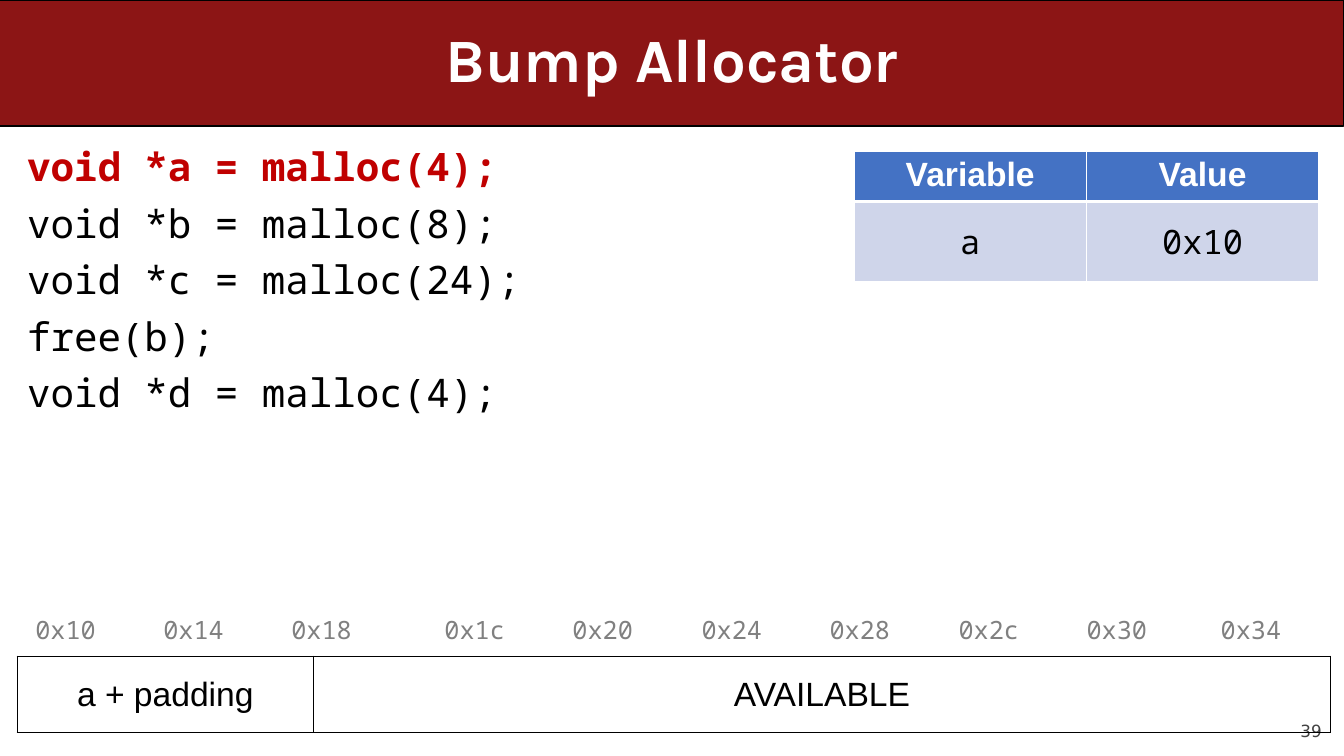
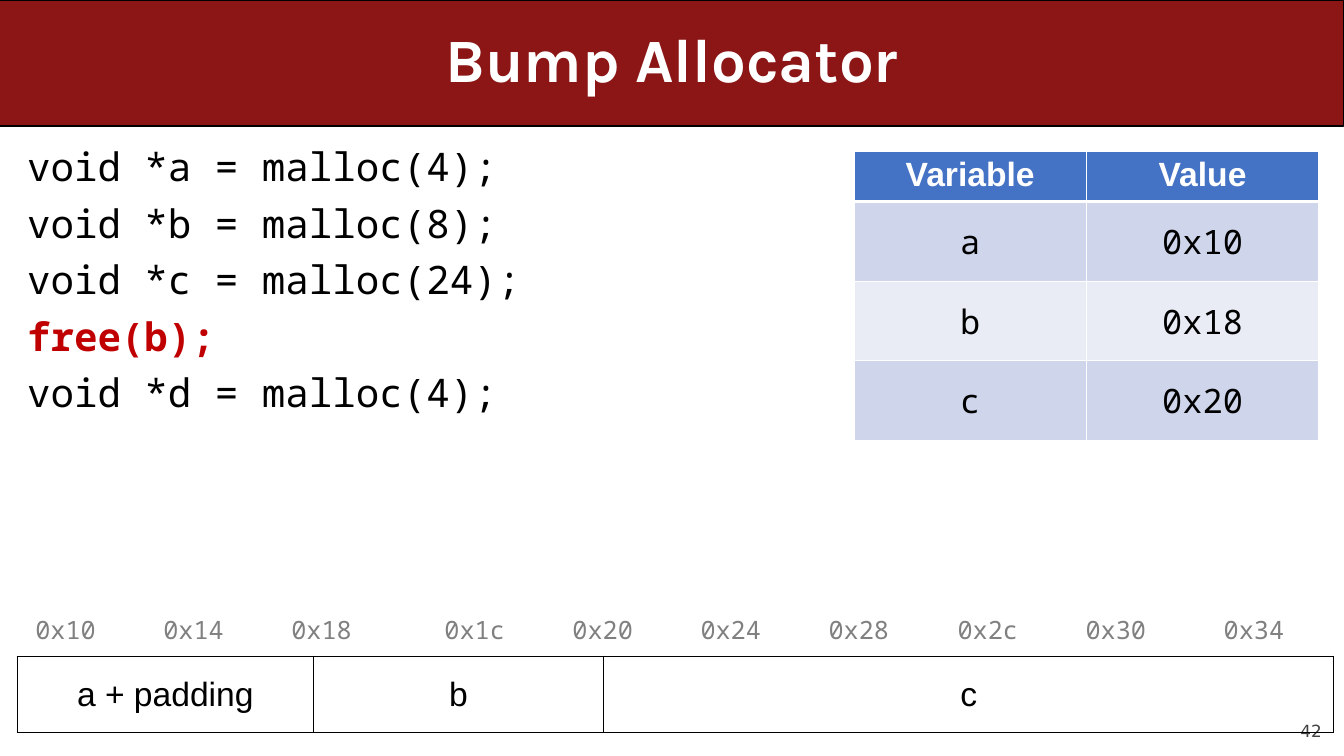
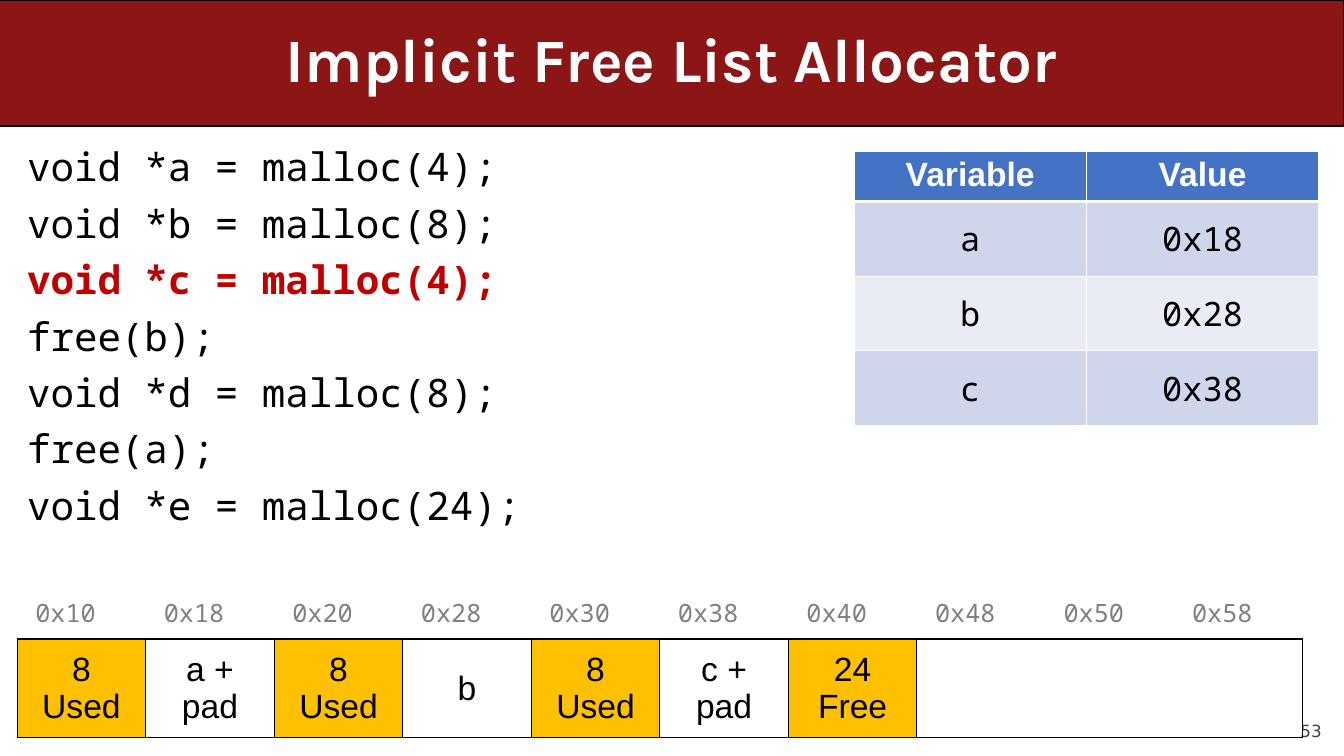
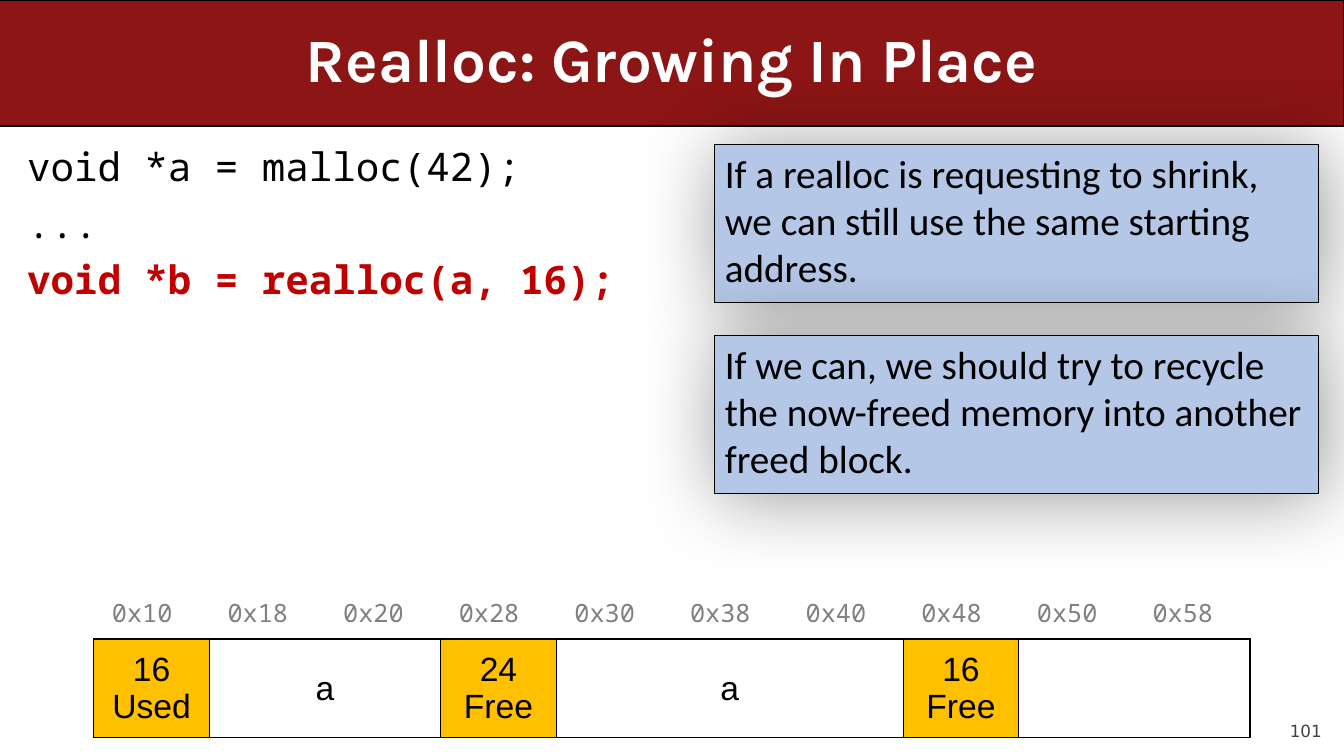
from collections import namedtuple

from lxml import etree
from pptx import Presentation
from pptx.dml.color import RGBColor
from pptx.enum.shapes import MSO_SHAPE
from pptx.enum.text import MSO_ANCHOR, PP_ALIGN
from pptx.oxml.ns import qn
from pptx.util import Inches, Pt

LEFT, CENTER, RIGHT = PP_ALIGN.LEFT, PP_ALIGN.CENTER, PP_ALIGN.RIGHT
TOP, MIDDLE, BOTTOM = MSO_ANCHOR.TOP, MSO_ANCHOR.MIDDLE, MSO_ANCHOR.BOTTOM
RECTANGLE, ROUNDED = MSO_SHAPE.RECTANGLE, MSO_SHAPE.ROUNDED_RECTANGLE

BLACK = RGBColor(0x00, 0x00, 0x00)
WHITE = RGBColor(0xFF, 0xFF, 0xFF)
CARDINAL = RGBColor(0x8C, 0x15, 0x15)
RED = RGBColor(0xC0, 0x00, 0x00)
GRAY = RGBColor(0x80, 0x80, 0x80)
DARK_GRAY = RGBColor(0x42, 0x42, 0x42)
BLUE = RGBColor(0x44, 0x72, 0xC4)
BAND_DARK = RGBColor(0xCF, 0xD5, 0xEA)
BAND_LIGHT = RGBColor(0xE9, 0xEB, 0xF5)
PALE_BLUE = RGBColor(0xB4, 0xC7, 0xE7)
AMBER = RGBColor(0xFF, 0xC0, 0x00)

MONO = "Noto Sans Mono"
TITLE = {"name": "Karla", "size": Pt(44), "bold": True, "color": WHITE}
NUMBER = {"name": "DejaVu Sans", "size": Pt(12), "color": DARK_GRAY}
CODE = {"name": MONO, "size": Pt(28), "bold": False, "color": BLACK}
ACTIVE_CODE = {**CODE, "bold": True, "color": RED}
ADDRESS = {"name": MONO, "size": Pt(18), "color": GRAY}
BLOCK = {"name": "Arial", "size": Pt(24), "color": BLACK}
HEADING = {**BLOCK, "bold": True, "color": WHITE}
VALUE = {**BLOCK, "name": MONO, "bold": False}
CALLOUT = {"name": "Calibri", "size": Pt(28), "color": BLACK}

Box = namedtuple("Box", "left top width height")
WIDTH, HEIGHT = 13.33, 7.5
BAND_BOX = Box(0, 0, WIDTH, 1.25)
TITLE_BOX = Box(0.5, 0, WIDTH - 1, 1.25)
NUMBER_BOX = Box(12, 6.95, 1.11, 0.4)
CODE_BOX = Box(0.17, 1.42, 12.92, 4.17)
VALUES_BOX = Box(8.47, 1.5, 4.61, 0.46)
CALLOUT_BOX = Box(7.09, 1.43, 5.99, 1.57)
CALLOUT_STEP = 1.9
MEMORY_ROW = 0.76
CELL_MARGINS = {"margin_left": 0.18, "margin_right": 0.18, "margin_top": 0.09, "margin_bottom": 0.09}
NO_MARGINS = dict.fromkeys(CELL_MARGINS, 0)


def place(box):
    """Turn a box in inches into lengths."""
    return [Inches(length) for length in box]


def set_margins(target, margins):
    """Set the inner margins of a text frame or cell."""
    for side, inches in margins.items():
        setattr(target, side, Inches(inches))


def write_lines(frame, lines, align=LEFT, spacing=None, before=0):
    """Write (text, format) pairs, one paragraph each."""
    for index, (text, style) in enumerate(lines):
        para = frame.paragraphs[0] if index == 0 else frame.add_paragraph()
        para.alignment = align
        if spacing:
            para.line_spacing = spacing
        if index:
            para.space_before = Pt(before)
        span = para.add_run()
        span.text = text
        for name, value in style.items():
            if name == "color":
                span.font.color.rgb = value
            else:
                setattr(span.font, name, value)


def add_text(page, box, lines, anchor=TOP, margins=None, **layout):
    """Add a wrapping text box."""
    frame = page.shapes.add_textbox(*place(box)).text_frame
    frame.word_wrap = True
    frame.vertical_anchor = anchor
    set_margins(frame, margins or {})
    write_lines(frame, lines, **layout)


def add_panel(page, box, kind, fill):
    """Add a filled shape with a thin black outline."""
    panel = page.shapes.add_shape(kind, *place(box))
    panel.fill.solid()
    panel.fill.fore_color.rgb = fill
    panel.line.color.rgb = BLACK
    panel.line.width = Pt(0.75)
    panel.shadow.inherit = False
    return panel


def add_soft_shadow(panel):
    """Give a panel a wide, blurred shadow."""
    effects = panel._element.spPr.find(qn("a:effectLst"))
    shadow = etree.SubElement(effects, qn("a:outerShdw"), blurRad=str(Pt(58)),
                              dist=str(Pt(3)), dir=str(45 * 60000), rotWithShape="0")
    color = etree.SubElement(shadow, qn("a:srgbClr"), val=str(BLACK))
    etree.SubElement(color, qn("a:alpha"), val="40000")


def format_cell(cell, borders, fill=None):
    """Draw borders as {side: (colour, points)}, then fill the cell."""
    properties = cell._tc.get_or_add_tcPr()
    for side in "LRTB":
        if side in borders:
            color, points = borders[side]
            line = etree.SubElement(properties, qn(f"a:ln{side}"), w=str(Pt(points)))
            solid = etree.SubElement(line, qn("a:solidFill"))
            etree.SubElement(solid, qn("a:srgbClr"), val=str(color))
    if fill is None:
        cell.fill.background()
    else:
        cell.fill.solid()
        cell.fill.fore_color.rgb = fill


def add_grid(page, left, top, columns, rows):
    """Add a table without banding, with the given column widths and row heights."""
    box = Box(left, top, sum(columns), sum(rows))
    table = page.shapes.add_table(len(rows), len(columns), *place(box)).table
    table.first_row = table.horz_banding = False
    for column, width in zip(table.columns, columns):
        column.width = Inches(width)
    for row, height in zip(table.rows, rows):
        row.height = Inches(height)
    return table


def add_values(page, box, values, row_height):
    """Add the table of variables and their addresses."""
    rows = [("Variable", "Value"), *values]
    heights = [box.height] + [row_height] * len(values)
    table = add_grid(page, box.left, box.top, [box.width / 2] * 2, heights)
    for row, texts in enumerate(rows):
        fill = BLUE if row == 0 else BAND_DARK if row % 2 else BAND_LIGHT
        borders = dict.fromkeys("LRTB", (WHITE, 1))
        if row == 0:
            borders["B"] = (WHITE, 3)
        elif row == 1:
            borders["T"] = (WHITE, 3)
        for column, text in enumerate(texts):
            cell = table.cell(row, column)
            format_cell(cell, borders, fill)
            cell.vertical_anchor = MIDDLE if row else TOP
            write_lines(cell.text_frame, [(text, VALUE if row else HEADING)], CENTER)


def fill_memory_row(table, row, entries, borders, style, align, anchor):
    """Fill a row with (text, columns spanned, fill) entries."""
    start = 0
    for text, span, fill in entries:
        for column in range(start, start + span):
            format_cell(table.cell(row, column), borders, fill)
        cell = table.cell(row, start)
        if span > 1:
            cell.merge(table.cell(row, start + span - 1))
        set_margins(cell, CELL_MARGINS)
        cell.vertical_anchor = anchor
        if text:
            write_lines(cell.text_frame, [(line, style) for line in text.split("\n")], align)
        start += span


def add_memory(page, left, top, columns, spans, step, blocks):
    """Add the heap: a row of addresses over a row of blocks."""
    table = add_grid(page, left, top, columns, [MEMORY_ROW] * 2)
    addresses = [(f"0x{16 + step * index:x}", span, None) for index, span in enumerate(spans)]
    edge = (BLACK, 1)
    fill_memory_row(table, 0, addresses, {"B": edge}, ADDRESS, LEFT, BOTTOM)
    fill_memory_row(table, 1, blocks, dict.fromkeys("LRTB", edge), BLOCK, CENTER, MIDDLE)


def add_callouts(page, box, texts):
    """Stack shadowed callouts downwards from the box."""
    for index, text in enumerate(texts):
        spot = box._replace(top=box.top + index * CALLOUT_STEP)
        panel = add_panel(page, spot, RECTANGLE, PALE_BLUE)
        add_soft_shadow(panel)
        panel.text_frame.word_wrap = True
        panel.text_frame.vertical_anchor = TOP
        write_lines(panel.text_frame, [(text, CALLOUT)])


def add_page(deck, title, number, code, active):
    """Add a slide with its number, title band and code listing."""
    page = deck.slides.add_slide(deck.slide_layouts[6])
    add_text(page, NUMBER_BOX, [(number, NUMBER)], BOTTOM, NO_MARGINS, align=RIGHT)
    add_panel(page, BAND_BOX, ROUNDED, CARDINAL).adjustments[0] = 0
    add_text(page, TITLE_BOX, [(title, TITLE)], MIDDLE, align=CENTER, spacing=0.9)
    lines = [(line, ACTIVE_CODE if index == active else CODE) for index, line in enumerate(code)]
    add_text(page, CODE_BOX, lines, spacing=0.9, before=10)
    return page


def header(size, state):
    """Describe a block header one column wide."""
    return f"{size}\n{state}", 1, AMBER


def build_bump(deck):
    """Build the two bump allocator slides."""
    code = ["void *a = malloc(4);", "void *b = malloc(8);", "void *c = malloc(24);",
            "free(b);", "void *d = malloc(4);"]
    values = [("a", "0x10"), ("b", "0x18"), ("c", "0x20")]
    padded = ("a + padding", 3, None)
    start = [1.27, 1.27, 0.21, 1.12, 1.27]

    page = add_page(deck, "Bump Allocator", "39", code, 0)
    add_memory(page, 0.17, 5.75, start + [1.28, 1.27, 1.28, 1.27, 1.33, 1.27],
               [1, 1, 2] + [1] * 7, 4, [padded, ("AVAILABLE", 8, None)])
    add_values(page, VALUES_BOX, values[:1], 0.79)

    page = add_page(deck, "Bump Allocator", "42", code, 3)
    add_values(page, VALUES_BOX, values, 0.79)
    add_memory(page, 0.17, 5.75, start + [0.49, 0.78, 1.27, 1.28, 1.27, 1.37, 1.27],
               [1, 1, 2, 1, 2] + [1] * 5, 4, [padded, ("b", 3, None), ("c", 6, None)])


def build_implicit(deck):
    """Build the implicit free list slide."""
    code = ["void *a = malloc(4);", "void *b = malloc(8);", "void *c = malloc(4);", "free(b);",
            "void *d = malloc(8);", "free(a);", "void *e = malloc(24);"]
    page = add_page(deck, "Implicit Free List Allocator", "53", code, 2)
    used = header(8, "Used")
    add_memory(page, 0.17, 5.58, [1.275] * 10, [1] * 10, 8,
               [used, ("a + pad", 1, None), used, ("b", 1, None), used, ("c + pad", 1, None),
                header(24, "Free"), ("", 3, None)])
    add_values(page, VALUES_BOX, [("a", "0x18"), ("b", "0x28"), ("c", "0x38")], 0.74)


def build_realloc(deck):
    """Build the realloc slide."""
    code = ["void *a = malloc(42);", "...", "void *b = realloc(a, 16);"]
    page = add_page(deck, "Realloc: Growing In Place", "101", code, 2)
    add_memory(page, 0.93, 5.58, [11.47 / 10] * 10, [1] * 10, 8,
               [header(16, "Used"), ("a", 2, None), header(24, "Free"), ("a", 3, None),
                header(16, "Free"), ("", 2, None)])
    add_callouts(page, CALLOUT_BOX, [
        "If a realloc is requesting to shrink, we can still use the same starting address.",
        "If we can, we should try to recycle the now-freed memory into another freed block."])


def main():
    """Build and save the deck."""
    deck = Presentation()
    deck.slide_width, deck.slide_height = Inches(WIDTH), Inches(HEIGHT)
    build_bump(deck)
    build_implicit(deck)
    build_realloc(deck)
    deck.save("out.pptx")


if __name__ == "__main__":
    main()
